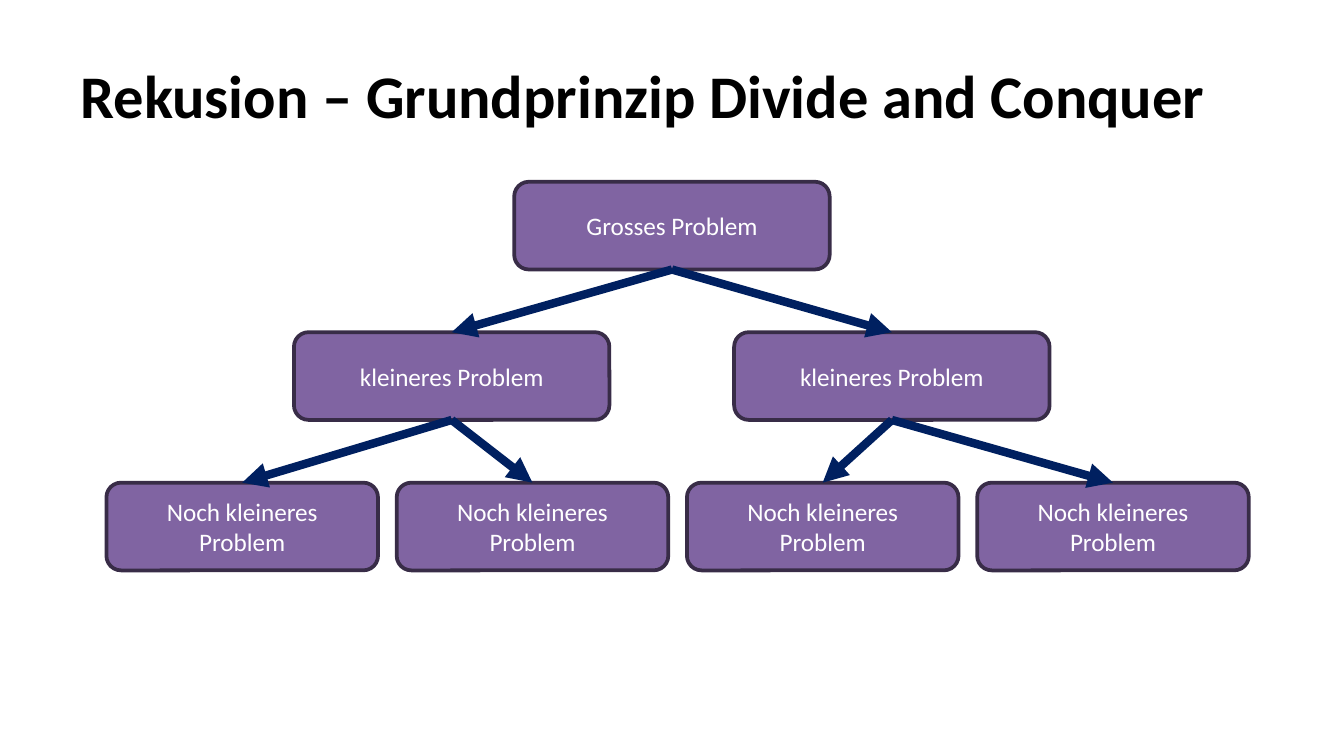
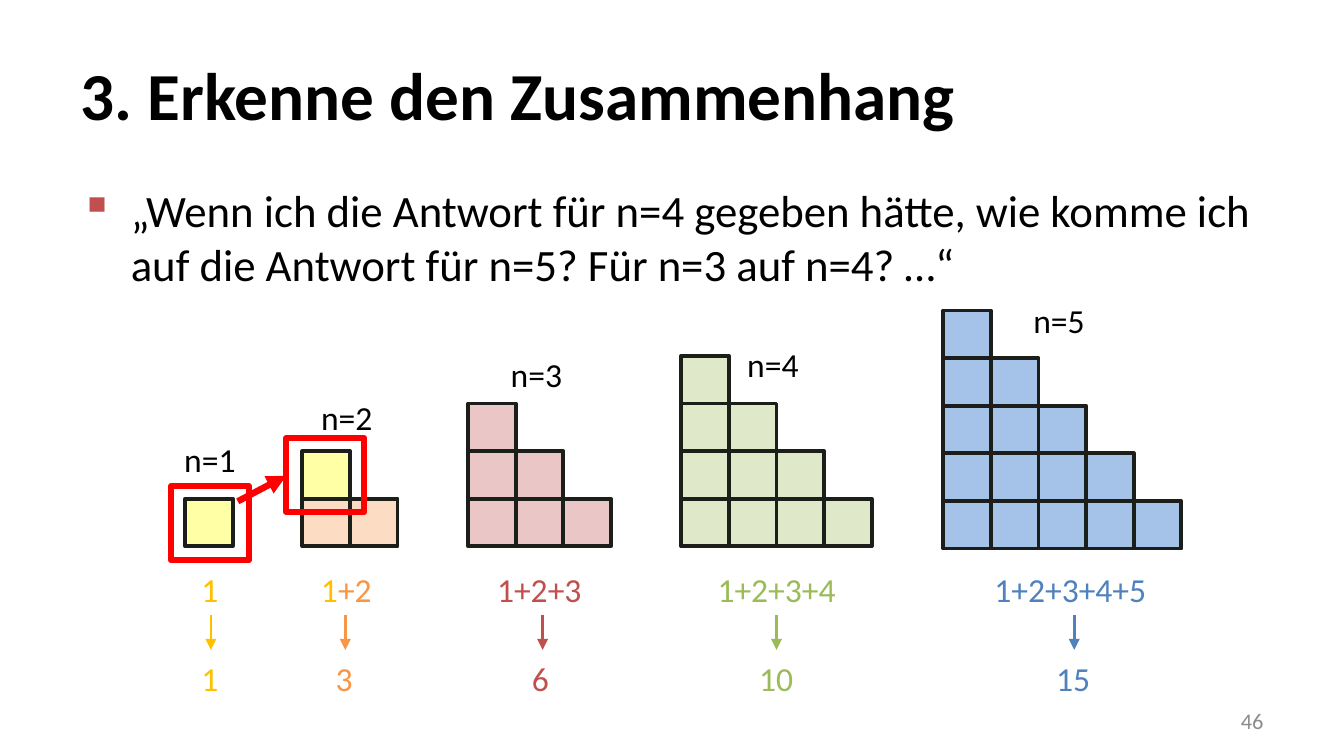
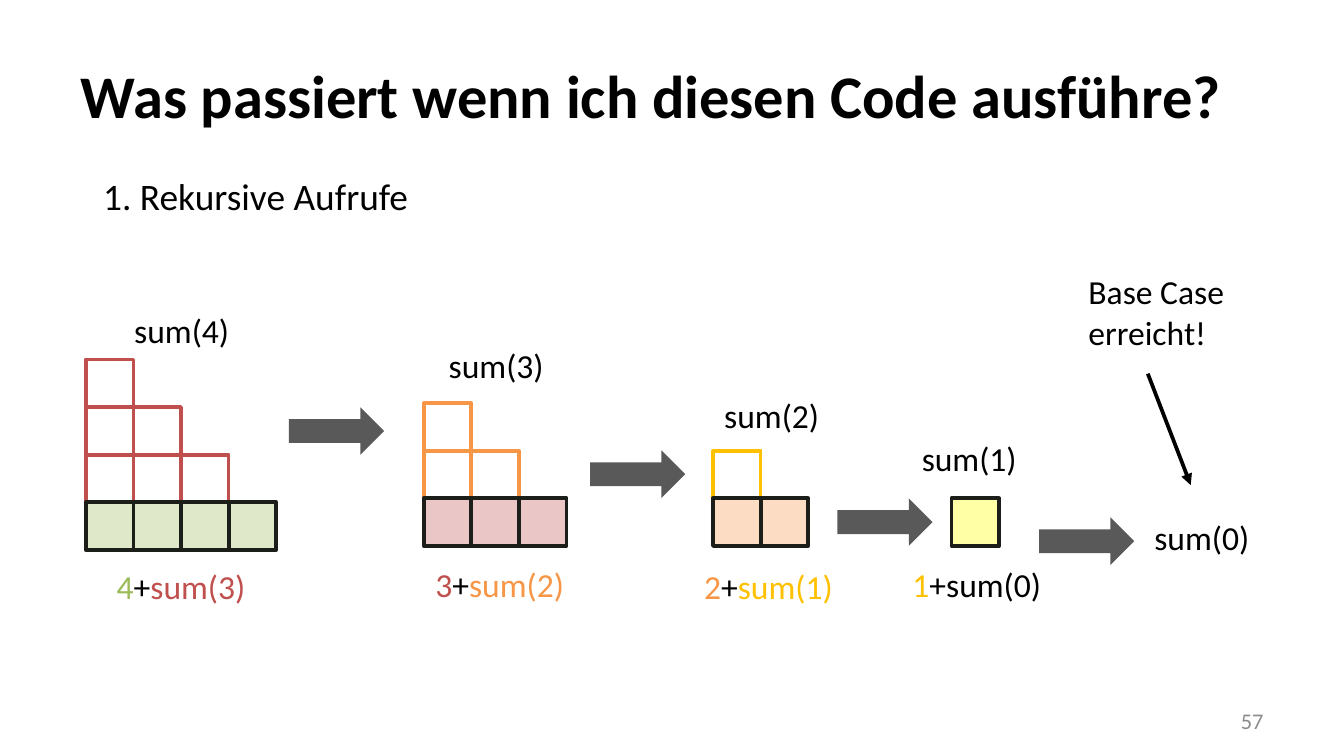
from dataclasses import dataclass

from lxml.etree import SubElement
from pptx import Presentation
from pptx.dml.color import RGBColor
from pptx.enum.shapes import MSO_CONNECTOR, MSO_SHAPE
from pptx.enum.text import MSO_ANCHOR, MSO_AUTO_SIZE, PP_ALIGN
from pptx.oxml.ns import qn
from pptx.util import Pt

STRAIGHT = MSO_CONNECTOR.STRAIGHT
RECT = MSO_SHAPE.RECTANGLE
ROUND_RECT = MSO_SHAPE.ROUNDED_RECTANGLE
RIGHT_ARROW = MSO_SHAPE.RIGHT_ARROW
MIDDLE, TOP = MSO_ANCHOR.MIDDLE, MSO_ANCHOR.TOP
LEFT, CENTER, RIGHT = PP_ALIGN.LEFT, PP_ALIGN.CENTER, PP_ALIGN.RIGHT
NO_FIT, GROW = MSO_AUTO_SIZE.NONE, MSO_AUTO_SIZE.SHAPE_TO_FIT_TEXT
TOP_SITE, BOTTOM_SITE = 0, 2


@dataclass(frozen=True)
class Theme:
    font: str = "Calibri"
    black: str = "000000"
    white: str = "FFFFFF"
    grey: str = "8C8C8C"
    block_arrow: str = "595959"
    purple: str = "8064A2"
    purple_edge: str = "382C47"
    navy: str = "002060"
    marker: str = "FF0000"
    cell_edge: str = "1C1E19"
    gold: str = "FFC000"
    orange: str = "F79646"
    red: str = "C0504D"
    green: str = "9BBB59"
    blue: str = "4F81BD"
    yellow_cell: tuple = ("FFFF00", 35)
    orange_cell: tuple = ("FAC090", 53)
    red_cell: tuple = ("D99694", 53)
    green_cell: tuple = ("C3D69B", 53)
    blue_cell: tuple = ("558ED5", 53)
    title_size: float = 36
    long_title_size: float = 32.4
    body_size: float = 24
    heading_size: float = 20
    label_size: float = 18
    box_size: float = 13.5
    page_size: float = 12
    cell: float = 25.5
    edge: float = 2
    margin: float = 36


class Deck:
    def __init__(self, theme):
        self.theme = theme
        self.prs = Presentation()
        self.prs.slide_width, self.prs.slide_height = Pt(720), Pt(405)
        self.slide = None

    def new_slide(self, title, size):
        self.slide = self.prs.slides.add_slide(self.prs.slide_layouts[5])
        sp = self.slide.shapes.title
        sp.left, sp.top = Pt(self.theme.margin), Pt(16.6)
        sp.width, sp.height = Pt(648), Pt(67.5)
        tf = sp.text_frame
        tf.text = title
        tf.auto_size, tf.vertical_anchor = NO_FIT, MIDDLE
        tf.paragraphs[0].alignment = LEFT
        self.style(tf.paragraphs[0].runs[0], size, self.theme.black, True)

    def style(self, r, size, color, bold=False):
        r.font.name, r.font.size, r.font.bold = self.theme.font, Pt(size), bold
        r.font.color.rgb = RGBColor.from_string(color)

    def text(self, parts, x, y, w, h=29, size=None, align=LEFT, anchor=TOP, fit=GROW):
        sp = self.slide.shapes.add_textbox(Pt(x), Pt(y), Pt(w), Pt(h))
        tf = sp.text_frame
        tf.word_wrap, tf.auto_size, tf.vertical_anchor = True, fit, anchor
        p = tf.paragraphs[0]
        p.alignment = align
        for content, color in parts:
            r = p.add_run()
            r.text = content
            self.style(r, size or self.theme.label_size, color)
        return p

    def label(self, content, x, y, w, h=29, size=None):
        self.text([(content, self.theme.black)], x, y, w, h, size)

    def bullet(self, content, x, y, w, h):
        t = self.theme
        p = self.text([(content, t.black)], x, y, w, h, t.body_size, fit=NO_FIT)
        p.space_after = Pt(6)
        pPr = p._p.get_or_add_pPr()
        pPr.set("marL", str(Pt(27)))
        pPr.set("indent", str(-Pt(27)))
        SubElement(SubElement(pPr, qn("a:buClr")), qn("a:srgbClr")).set("val", t.red)
        SubElement(pPr, qn("a:buChar")).set("char", "▪")

    def page_number(self, number, w):
        t = self.theme
        self.text([(str(number), t.grey)], 684 - w, 375.4, w, 21.6,
                  t.page_size, RIGHT, MIDDLE, NO_FIT)

    def shape(self, kind, x, y, w, h, fill=None, line=None, width=2, opacity=100, shapes=None):
        shapes = shapes or self.slide.shapes
        sp = shapes.add_shape(kind, Pt(x), Pt(y), Pt(w), Pt(h))
        sp.shadow.inherit = False
        if fill:
            sp.fill.solid()
            sp.fill.fore_color.rgb = RGBColor.from_string(fill)
            if opacity < 100:
                clr = sp._element.spPr.find(qn("a:solidFill"))[0]
                SubElement(clr, qn("a:alpha")).set("val", str(opacity * 1000))
        else:
            sp.fill.background()
        if line:
            sp.line.color.rgb = RGBColor.from_string(line)
            sp.line.width = Pt(width)
        else:
            sp.line.fill.background()
        return sp

    def problem(self, content, x, y, w, h):
        t = self.theme
        sp = self.shape(ROUND_RECT, x, y, w, h, t.purple, t.purple_edge)
        tf = sp.text_frame
        tf.text = content
        tf.word_wrap, tf.vertical_anchor = True, MIDDLE
        tf.paragraphs[0].alignment = CENTER
        self.style(tf.paragraphs[0].runs[0], t.box_size, t.white)
        return sp

    def stairs(self, x, y, n, base, upper=None, upper_line=None):
        t = self.theme
        group = self.slide.shapes.add_group_shape()
        for row in range(n):
            is_base = row == n - 1
            fill, opacity = base if is_base else upper or (None, 100)
            line = t.cell_edge if is_base else upper_line or t.cell_edge
            for col in range(row + 1):
                self.shape(RECT, x + col * t.cell, y - (n - 1 - row) * t.cell, t.cell, t.cell,
                           fill, line, t.edge, opacity, group.shapes)

    def block_arrow(self, x, y):
        t = self.theme
        self.shape(RIGHT_ARROW, x, y, 2 * t.cell, t.cell, t.block_arrow)

    def arrow(self, start, end, color, width):
        sp = self.slide.shapes.add_connector(STRAIGHT, *(Pt(v) for v in (*start, *end)))
        sp.line.color.rgb = RGBColor.from_string(color)
        sp.line.width = Pt(width)
        spPr = sp._element.spPr
        SubElement(spPr.find(qn("a:ln")), qn("a:tailEnd")).set("type", "triangle")
        SubElement(spPr, qn("a:effectLst"))
        return sp

    def link(self, parent, child):
        sp = self.arrow((0, 0), (0, 0), self.theme.navy, 4.5)
        sp.begin_connect(parent, BOTTOM_SITE)
        sp.end_connect(child, TOP_SITE)


def divide_and_conquer(deck):
    deck.new_slide("Rekusion – Grundprinzip Divide and Conquer", deck.theme.long_title_size)
    levels = [
        ("Grosses Problem", 275.5, 0, 169),
        ("kleineres Problem", 157.5, 235.8, 169),
        ("Noch kleineres Problem", 57, 155.5, 145.5),
    ]
    tree = []
    for depth, (content, x, step, w) in enumerate(levels):
        y = 97.4 + depth * 80.6
        tree.append([deck.problem(content, x + i * step, y, w, 47) for i in range(2 ** depth)])
    for parents, children in zip(tree, tree[1:]):
        for i, child in enumerate(children):
            deck.link(parents[i // 2], child)


def find_relation(deck):
    t = deck.theme
    deck.new_slide("3. Erkenne den Zusammenhang", t.title_size)
    deck.page_number(46, 34.5)
    columns = [
        (99.2, 267.2, t.yellow_cell, t.gold, (91.6, 231.6), (100.8, 25), (100.8, 25), 113),
        (162, 267.2, t.orange_cell, t.orange, (164.9, 208.9), (164.9, 44), (172.8, 25), 185),
        (250.8, 267.2, t.red_cell, t.red, (266.5, 186.3), (259.2, 61), (277.9, 25), 290.7),
        (365, 267.2, t.green_cell, t.green, (393.2, 180.5), (377.3, 84), (399.6, 42), 416),
        (505.4, 268.4, t.blue_cell, t.blue, (546.5, 157), (525.6, 100), (558.7, 38), 575.5),
    ]
    for n, column in enumerate(columns, 1):
        x, y, cell, color, label, (sum_x, sum_w), (total_x, total_w), arrow_x = column
        deck.stairs(x, y, n, cell, t.yellow_cell if n == 2 else cell)
        deck.label(f"n={n}", *label, 46)
        terms = "+".join(str(i) for i in range(1, n + 1))
        parts = [("1", t.gold), ("+2", color)] if n == 2 else [(terms, color)]
        deck.text(parts, sum_x, 301.3, sum_w)
        deck.text([(str(n * (n + 1) // 2), color)], total_x, 349, total_w)
        deck.arrow((arrow_x, 329.7), (arrow_x, 348.2), color, 1.5)
    for x, y in [(91.6, 260.6), (153.4, 234.7)]:
        deck.shape(RECT, x, y, 41.8, 39.6, line=t.marker, width=3.25)
    deck.arrow((127.4, 268.6), (153.4, 254.9), t.marker, 3.5)
    deck.bullet("„Wenn ich die Antwort für n=4 gegeben hätte, wie komme ich auf die Antwort "
                "für n=5? Für n=3 auf n=4? …“", t.margin, 94.3, 648, 68.4)


def recursive_calls(deck):
    t = deck.theme
    deck.new_slide("Was passiert wenn ich diesen Code ausführe?", t.long_title_size)
    deck.page_number(57, 167.8)
    deck.label("1. Rekursive Aufrufe", 48.2, 89.3, 459.4, 31.7, t.heading_size)
    calls = [
        (4, 46, 269.1, t.green_cell, t.green, t.red, (64.8, 162.7), (55.4, 299.6), (154.8, 218.2)),
        (3, 227, 267, t.red_cell, t.red, t.orange, (233.3, 181.4), (226.1, 298.8), (316.1, 241.3)),
        (2, 382, 267, t.orange_cell, t.orange, t.gold, (380.9, 208.1), (370.1, 299.6), (448.6, 267)),
        (1, 509.8, 267, t.yellow_cell, t.gold, t.black, (486.7, 231.1), (481.7, 298.8), (556.6, 277.2)),
    ]
    for n, x, y, cell, color, rest, label, formula, arrow in calls:
        deck.stairs(x, y, n, cell, upper_line=rest)
        deck.label(f"sum({n})", *label, 70.6)
        deck.text([(str(n), color), ("+", t.black), (f"sum({n - 1})", rest)], *formula, 90)
        deck.block_arrow(*arrow)
    deck.label("sum(0)", 611.3, 273.6, 70.6)
    deck.label("Base Case erreicht!", 576, 141.8, 98, 51)
    deck.arrow((614.9, 200.2), (637.9, 259.9), t.black, 2)


def main():
    deck = Deck(Theme())
    divide_and_conquer(deck)
    find_relation(deck)
    recursive_calls(deck)
    deck.prs.save("out.pptx")


if __name__ == "__main__":
    main()
